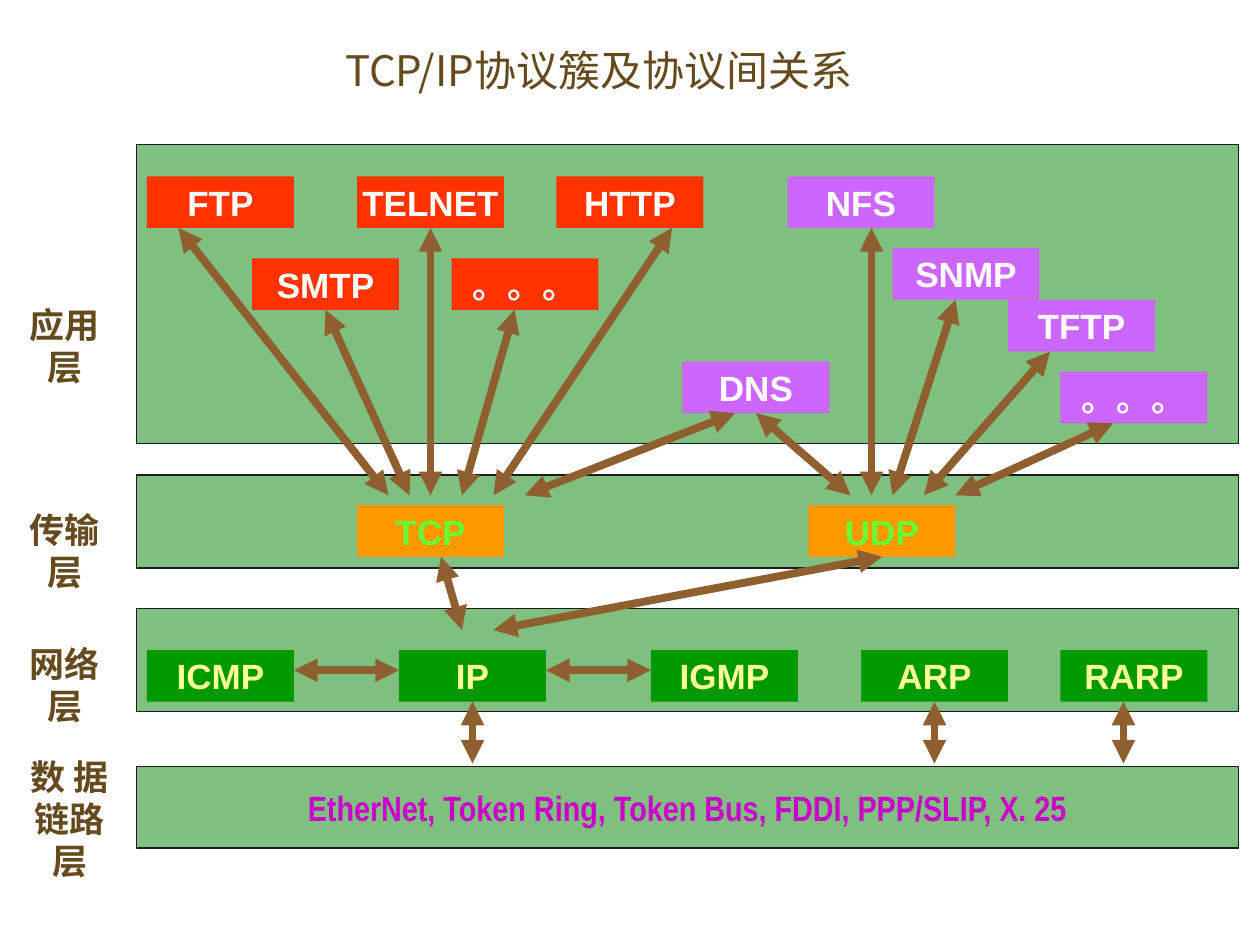
"""Build a slide on the TCP/IP protocol family and how its protocols relate."""
from dataclasses import dataclass

from lxml import etree
from pptx import Presentation
from pptx.dml.color import RGBColor
from pptx.enum.shapes import MSO_CONNECTOR, MSO_SHAPE
from pptx.enum.text import MSO_ANCHOR, MSO_AUTO_SIZE, PP_ALIGN
from pptx.oxml.ns import qn
from pptx.util import Pt

RECTANGLE = MSO_SHAPE.RECTANGLE
STRAIGHT = MSO_CONNECTOR.STRAIGHT
MIDDLE, TOP = MSO_ANCHOR.MIDDLE, MSO_ANCHOR.TOP
LEFT, CENTER = PP_ALIGN.LEFT, PP_ALIGN.CENTER
NO_FIT, GROW = MSO_AUTO_SIZE.NONE, MSO_AUTO_SIZE.SHAPE_TO_FIT_TEXT
BOTTOM_SITE = 2

BOX_WIDTH, BOX_HEIGHT = 84, 29.5
BAND_LEFT, BAND_WIDTH = 77.8, 630
LABEL_WIDTH = 74
TRANSPORT_ARROW_END = 283
NETWORK_ARROW_END = 360
LINK_ARROW_END = 436.3
NETWORK_ARROW_Y = 383

LAYERS = [
    ("应用层", 82.8, 170.6, 0, 169.9, 31.7),
    ("传输层", 271.4, 53.3, 0, 287.3, 31.7),
    ("网络层", 347.8, 59, 0, 363.6, 31.7),
    ("数 据\v链路层", 437.8, 46.8, 2.9, 428.4, 55.4),
]
LINK_PROTOCOLS = "EtherNet, Token Ring, Token Bus, FDDI, PPP/SLIP, X. 25"

TCP_APPLICATIONS = [
    ("FTP", 84, 100.8, [(18, 222)]),
    ("TELNET", 204, 100.8, [(42, 246)]),
    ("HTTP", 318, 100.8, [(66, 282)]),
    ("SMTP", 144, 147.6, [(42, 234)]),
    ("。。。", 258, 147.6, [(36, 264)]),
]
UDP_APPLICATIONS = [
    ("NFS", 450, 100.8, [(48, 498)]),
    ("SNMP", 510, 141.8, [(36, 510)]),
    ("TFTP", 576, 171.4, [(24, 528)]),
    ("DNS", 390, 206.6, [(30, 300), (42, 486)]),
    ("。。。", 606, 212.4, [(30, 546)]),
]
TRANSPORTS = [
    ("TCP", 204, 288.7, [(48, 264)]),
    ("UDP", 462, 288.7, [(42, 282)]),
]
NETWORKS = [
    ("ICMP", 84, 371.5, []),
    ("IP", 228, 371.5, [(42, 270)]),
    ("IGMP", 372, 371.5, []),
    ("ARP", 492, 371.5, [(42, 534)]),
    ("RARP", 606, 371.5, [(36, 642)]),
]


@dataclass(frozen=True)
class Theme:
    """Colours, fonts and type sizes of the slide."""

    brown: str = "654A1D"
    arrow: str = "8F5F2F"
    band: str = "008000"
    outline: str = "1C1C1C"
    red: str = "FF3300"
    violet: str = "CC66FF"
    orange: str = "FF9900"
    green: str = "009900"
    white: str = "FFFFFF"
    lime: str = "66FF33"
    yellow: str = "FFFF99"
    magenta: str = "CC00CC"
    latin: str = "Arial"
    narrow: str = "Arial Narrow"
    chinese: str = "Noto Sans CJK SC"
    title_size: float = 24
    text_size: float = 20


class ProtocolSlide:
    """Draws styled elements on one slide."""

    def __init__(self, slide, theme):
        """Keep the slide and its theme."""
        self.slide = slide
        self.theme = theme

    def set_text(self, shape, text, color, font, size, bold=True, align=CENTER, anchor=MIDDLE, wrap=False):
        """Put formatted text into a shape."""
        frame = shape.text_frame
        frame.text = text
        frame.word_wrap = wrap
        frame.vertical_anchor = anchor
        for para in frame.paragraphs:
            para.alignment = align
            for span in para.runs:
                span.font.name = font
                span.font.size = Pt(size)
                span.font.bold = bold
                span.font.color.rgb = RGBColor.from_string(color)
                east_asian = etree.SubElement(span.font._element, qn("a:ea"))
                east_asian.set("typeface", self.theme.chinese)

    def title(self, text, left, top, width, height):
        """Place the title placeholder."""
        title = self.slide.shapes.title
        title.left, title.top, title.width, title.height = map(Pt, (left, top, width, height))
        self.set_text(title, text, self.theme.brown, self.theme.chinese, self.theme.title_size,
                      bold=False, align=LEFT, wrap=True)
        title.text_frame.auto_size = NO_FIT

    def rectangle(self, left, top, width, height, color):
        """Add a filled rectangle without shadow or outline."""
        shape = self.slide.shapes.add_shape(RECTANGLE, *map(Pt, (left, top, width, height)))
        shape.shadow.inherit = False
        shape.fill.solid()
        shape.fill.fore_color.rgb = RGBColor.from_string(color)
        shape.line.fill.background()
        return shape

    def band(self, top, height):
        """Add the half-transparent background of a layer."""
        band = self.rectangle(BAND_LEFT, top, BAND_WIDTH, height, self.theme.band)
        band.line.color.rgb = RGBColor.from_string(self.theme.outline)
        band.line.width = Pt(0.75)
        color = band._element.spPr.find(qn("a:solidFill")).find(qn("a:srgbClr"))
        etree.SubElement(color, qn("a:alpha")).set("val", "50000")
        return band

    def label(self, text, left, top, height):
        """Add the name of a layer."""
        box = self.slide.shapes.add_textbox(*map(Pt, (left, top, LABEL_WIDTH, height)))
        self.set_text(box, text, self.theme.brown, self.theme.latin, self.theme.text_size, anchor=TOP)
        box.text_frame.auto_size = GROW

    def protocol(self, name, left, top, fill, color):
        """Add a protocol box."""
        box = self.rectangle(left, top, BOX_WIDTH, BOX_HEIGHT, fill)
        self.set_text(box, name, color, self.theme.latin, self.theme.text_size)
        return box

    def arrow(self, start_x, start_y, end_x, end_y):
        """Add a thick line with a head at both ends."""
        points = map(Pt, (start_x, start_y, end_x, end_y))
        arrow = self.slide.shapes.add_connector(STRAIGHT, *points)
        arrow.line.color.rgb = RGBColor.from_string(self.theme.arrow)
        arrow.line.width = Pt(4.5)
        line = arrow._element.spPr.find(qn("a:ln"))
        for end in ("a:headEnd", "a:tailEnd"):
            etree.SubElement(line, qn(end)).set("type", "triangle")
        etree.SubElement(arrow._element.spPr, qn("a:effectLst"))
        return arrow


def main():
    """Build and save the deck."""
    deck = Presentation()
    deck.slide_width, deck.slide_height = Pt(720), Pt(540)
    theme = Theme()
    page = ProtocolSlide(deck.slides.add_slide(deck.slide_layouts[5]), theme)
    page.title("TCP/IP协议簇及协议间关系", 190, 14.4, 572.4, 51)

    for name, top, height, label_left, label_top, label_height in LAYERS:
        band = page.band(top, height)
        page.label(name, label_left, label_top, label_height)
    page.set_text(band, LINK_PROTOCOLS, theme.magenta, theme.narrow, theme.text_size)

    groups = [
        (TCP_APPLICATIONS, theme.red, theme.white, TRANSPORT_ARROW_END),
        (UDP_APPLICATIONS, theme.violet, theme.white, TRANSPORT_ARROW_END),
        (TRANSPORTS, theme.orange, theme.lime, NETWORK_ARROW_END),
        (NETWORKS, theme.green, theme.yellow, LINK_ARROW_END),
    ]
    links = []
    for protocols, fill, color, arrow_end in groups:
        for name, left, top, targets in protocols:
            box = page.protocol(name, left, top, fill, color)
            links += [(box, left, top, offset, end_x, arrow_end) for offset, end_x in targets]

    for box, left, top, offset, end_x, end_y in links:
        arrow = page.arrow(left + offset, top + BOX_HEIGHT, end_x, end_y)
        if offset == BOX_WIDTH / 2:
            arrow.begin_connect(box, BOTTOM_SITE)

    for (_, left, _, _), (_, next_left, _, _) in zip(NETWORKS[:2], NETWORKS[1:3]):
        page.arrow(next_left, NETWORK_ARROW_Y, left + BOX_WIDTH, NETWORK_ARROW_Y)

    deck.save("out.pptx")


if __name__ == "__main__":
    main()
